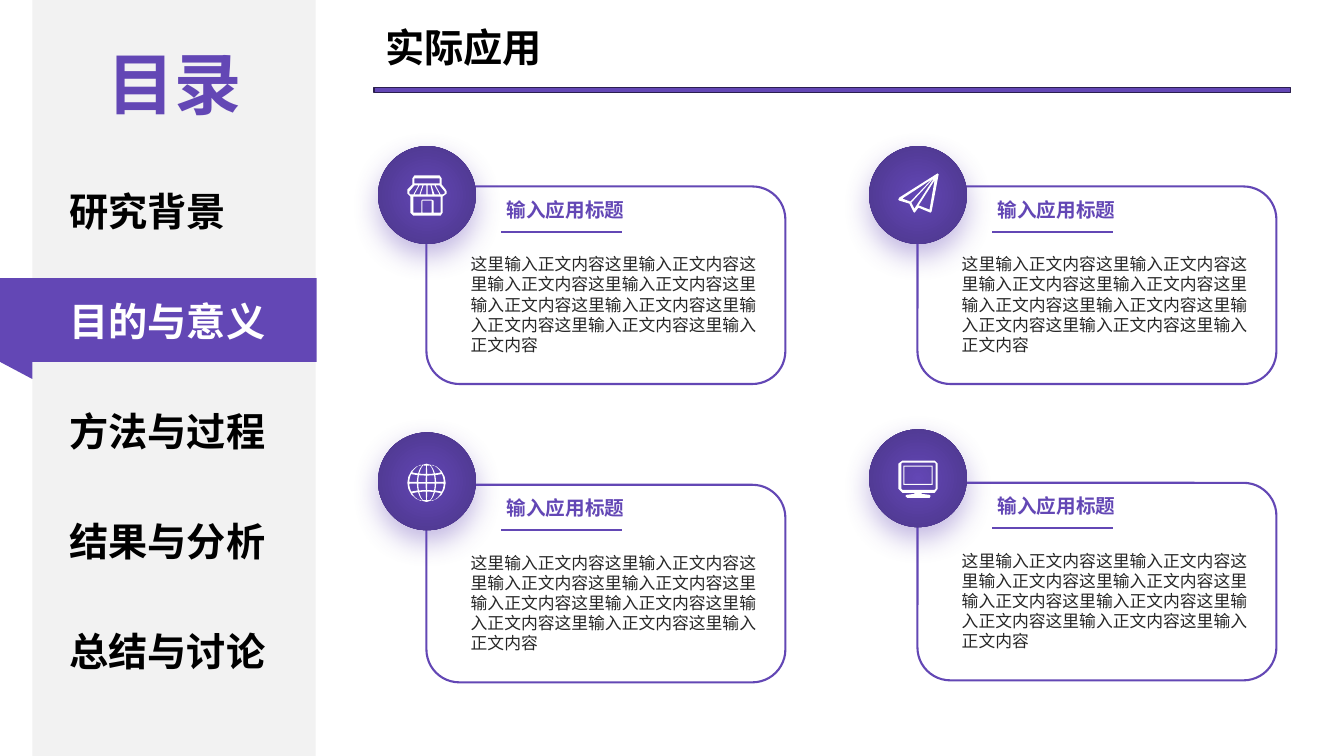
from math import sqrt

from pptx import Presentation
from pptx.dml.color import RGBColor
from pptx.enum.shapes import MSO_CONNECTOR, MSO_SHAPE
from pptx.enum.text import MSO_ANCHOR, MSO_AUTO_SIZE, PP_ALIGN
from pptx.oxml import parse_xml
from pptx.oxml.ns import nsdecls, qn
from pptx.util import Inches, Pt

RECT, ROUND = MSO_SHAPE.RECTANGLE, MSO_SHAPE.ROUNDED_RECTANGLE
OVAL, WEDGE = MSO_SHAPE.OVAL, MSO_SHAPE.RIGHT_TRIANGLE
LEFT, CENTER = PP_ALIGN.LEFT, PP_ALIGN.CENTER
TOP, GROW = MSO_ANCHOR.TOP, MSO_AUTO_SIZE.SHAPE_TO_FIT_TEXT
STRAIGHT = MSO_CONNECTOR.STRAIGHT


class Theme:
    font = "Noto Sans CJK SC"
    purple, deep, edge = "6347B5", "4A3588", "2B1F4F"
    panel, white, black, ink = "F2F2F2", "FFFFFF", "000000", "262626"
    formats = {
        "head": {"size": Pt(48), "bold": True},
        "item": {"size": Pt(28), "bold": True},
        "label": {"size": Pt(14), "bold": True},
        "body": {"size": Pt(12), "bold": False},
    }


def rgb(code):
    return RGBColor.from_string(code)


def globe(cx=48, cy=50, radius=19):
    """Return the rim and the cells between meridians and parallels."""
    def spot(u, v):
        y = v * (1 + 0.3 * u * u * (1 - v * v))
        return cx + radius * u * sqrt(1 - y * y), cy + radius * y

    steps = [i / 8 for i in range(9)]
    rim = [spot(side, side * (2 * t - 1)) for side in (1, -1) for t in steps]
    shapes = [rim]
    lons = [(-0.9, -0.5), (-0.43, -0.04), (0.04, 0.43), (0.5, 0.9)]
    lats = [(-0.9, -0.46), (-0.38, -0.04), (0.04, 0.38), (0.46, 0.9)]
    for a, b in lons:
        for c, d in lats:
            shapes.append([spot(a + (b - a) * t, c) for t in steps]
                          + [spot(b, c + (d - c) * t) for t in steps]
                          + [spot(b + (a - b) * t, d) for t in steps]
                          + [spot(a, d + (c - d) * t) for t in steps])
    return shapes


def box(x1, y1, x2, y2):
    return [(x1, y1), (x2, y1), (x2, y2), (x1, y2)]


# Icon outlines in hundredths of an inch from the corner of their disc
STORE = [
    [(67, 43), (63, 38), (63, 32), (61, 29), (36, 29), (34, 32), (34, 38),
     (29, 43), (29, 47), (32, 50), (32, 66), (35, 69), (62, 69), (64, 66),
     (64, 50), (68, 47), (68, 45)],
    box(36, 32, 61, 37),
    [(62, 66), (55, 66), (55, 54), (53, 53), (44, 53), (43, 54), (43, 66),
     (35, 66), (35, 50), (62, 50)],
    box(44, 54, 53, 66),
    [(66, 47), (64, 48), (62, 48), (57, 39), (61, 39), (66, 45)],
    [(53, 39), (56, 39), (61, 48), (56, 48)],
    [(49, 39), (52, 39), (54, 48), (49, 48)],
    [(45, 39), (48, 39), (48, 48), (42, 48)],
    [(41, 48), (36, 48), (41, 39), (44, 39)],
    [(31, 47), (31, 45), (36, 39), (40, 39), (35, 48), (32, 48)],
]
PLANE = [
    [(68, 27), (30, 51), (29, 53), (30, 54), (40, 57), (44, 65), (45, 66),
     (46, 65), (49, 61), (61, 66), (62, 65), (69, 28)],
    [(60, 63), (50, 59), (49, 59), (65, 34)],
    [(42, 56), (65, 31), (45, 62)],
    [(33, 52), (62, 33), (41, 55)],
]
SCREEN = [box(34, 36, 63, 55), box(35, 37, 62, 54)]
STAND = [
    [(65, 31), (33, 31), (29, 34), (29, 59), (33, 63), (45, 63), (45, 64),
     (37, 65), (36, 66), (38, 68), (60, 68), (61, 66), (60, 65), (52, 64),
     (52, 63), (65, 63), (68, 59), (68, 34)],
    [(66, 59), (65, 60), (33, 60), (32, 59), (32, 34), (33, 33), (65, 33),
     (66, 34)],
]


class Page:
    def __init__(self, deck, theme):
        self.theme = theme
        self.slide = deck.slides.add_slide(deck.slide_layouts[5])
        self.shapes = self.slide.shapes

    def style(self, shape, fill=None, line=None, width=1.5):
        shape.shadow.inherit = False
        if fill:
            shape.fill.solid()
            shape.fill.fore_color.rgb = rgb(fill)
        else:
            shape.fill.background()
        if line:
            shape.line.color.rgb = rgb(line)
            shape.line.width = Pt(width)
        else:
            shape.line.fill.background()
        return shape

    def block(self, kind, place, group=None, **look):
        shapes = group.shapes if group else self.shapes
        shape = shapes.add_shape(kind, *map(Inches, place))
        return self.style(shape, **look)

    def label(self, shape, text, role, color, align=LEFT):
        frame = shape.text_frame
        frame.text = text
        frame.word_wrap = True
        frame.auto_size = GROW
        frame.vertical_anchor = TOP
        para = frame.paragraphs[0]
        para.alignment = align
        font = para.runs[0].font
        for key, value in self.theme.formats[role].items():
            setattr(font, key, value)
        font.name = self.theme.font
        font.color.rgb = rgb(color)

    def text(self, place, *words):
        self.label(self.shapes.add_textbox(*map(Inches, place)), *words)

    def title(self, place, text):
        shape = self.shapes.title
        shape.left, shape.top, shape.width, shape.height = map(Inches, place)
        self.label(shape, text, "item", self.theme.black)

    def rule(self, x, y, width):
        ends = map(Inches, (x, y, x + width, y))
        line = self.shapes.add_connector(STRAIGHT, *ends)
        line.line.color.rgb = rgb(self.theme.purple)
        line.line.width = Pt(1.5)
        line._element.spPr.append(
            parse_xml(f"<a:effectLst {nsdecls('a')}/>"))

    def disc(self, x, y, icons):
        """Draw a glowing disc with its white icon, as one group."""
        theme, group = self.theme, self.shapes.add_group_shape()
        disc = self.block(OVAL, (x, y, 0.97, 0.97), group)
        disc.fill.gradient()
        for stop, color in zip(disc.fill.gradient_stops,
                               (theme.purple, theme.deep)):
            stop.color.rgb = rgb(color)
        props = disc._element.spPr
        grad = props.find(qn("a:gradFill"))
        grad.remove(grad.find(qn("a:lin")))
        grad.append(parse_xml(
            f'<a:path {nsdecls("a")} path="circle"><a:fillToRect l="50000" '
            't="50000" r="50000" b="50000"/></a:path>'))
        props.find(qn("a:effectLst")).append(parse_xml(
            f'<a:outerShdw {nsdecls("a")} blurRad="{Pt(20)}" dist="{Pt(8)}" '
            f'dir="5400000" algn="t" rotWithShape="0"><a:srgbClr '
            f'val="{theme.purple}"><a:alpha val="40000"/></a:srgbClr>'
            '</a:outerShdw>'))
        for icon in icons:
            self.icon(group, x, y, icon)

    def icon(self, group, x, y, outlines):
        pen = None
        for outline in outlines:
            spots = [(Inches(x + a / 100), Inches(y + b / 100))
                     for a, b in outline]
            if pen:
                pen.move_to(*spots[0])
            else:
                pen = group.shapes.build_freeform(*spots[0])
            pen.add_line_segments(spots[1:], close=True)
        self.style(pen.convert_to_shape(), fill=self.theme.white)

    def card(self, x, y, top, icons):
        theme = self.theme
        self.block(ROUND, (x, y, 3.56, 1.96), line=theme.purple)
        self.text((x + 0.34, y + 0.62, 3.08, 1.11), "这里输入正文内容" * 9,
                  "body", theme.ink)
        self.rule(x + 0.74, y + 0.45, 1.2)
        self.text((x + 0.66, y + 0.06, 1.44, 0.34), "输入应用标题",
                  "label", theme.purple, CENTER)
        self.disc(x - 0.48, top, icons)

    def menu(self, items, active):
        theme = self.theme
        self.block(RECT, (0.32, 0, 2.81, 7.5), fill=theme.panel)
        ribbon = self.shapes.add_group_shape()
        self.block(RECT, (0, 2.76, 3.14, 0.83), ribbon, fill=theme.purple)
        fold = self.block(WEDGE, (0, 3.59, 0.32, 0.17), ribbon,
                          fill=theme.purple)
        fold.rotation = 180
        self.text((0.76, 0.37, 1.94, 0.91), "目录", "head", theme.purple,
                  CENTER)
        for i, item in enumerate(items):
            color = theme.white if i == active else theme.black
            self.text((0.59, 1.81 + 1.09 * i, 2.21, 0.57), item, "item", color)


def main():
    deck = Presentation()
    deck.slide_width, deck.slide_height = Inches(13.33), Inches(7.5)
    page = Page(deck, Theme)
    page.menu(["研究背景", "目的与意义", "方法与过程", "结果与分析",
               "总结与讨论"], active=1)
    page.title((3.72, 0.18, 4.93, 0.57), "实际应用")
    page.block(RECT, (3.71, 0.87, 9.09, 0.05), fill=Theme.purple,
               line=Theme.edge, width=1)
    page.card(4.23, 1.85, 1.45, [STORE])
    page.card(9.1, 1.85, 1.45, [PLANE])
    page.card(4.23, 4.81, 4.29, [globe()])
    page.card(9.1, 4.79, 4.26, [SCREEN, STAND])
    deck.save("out.pptx")


if __name__ == "__main__":
    main()
